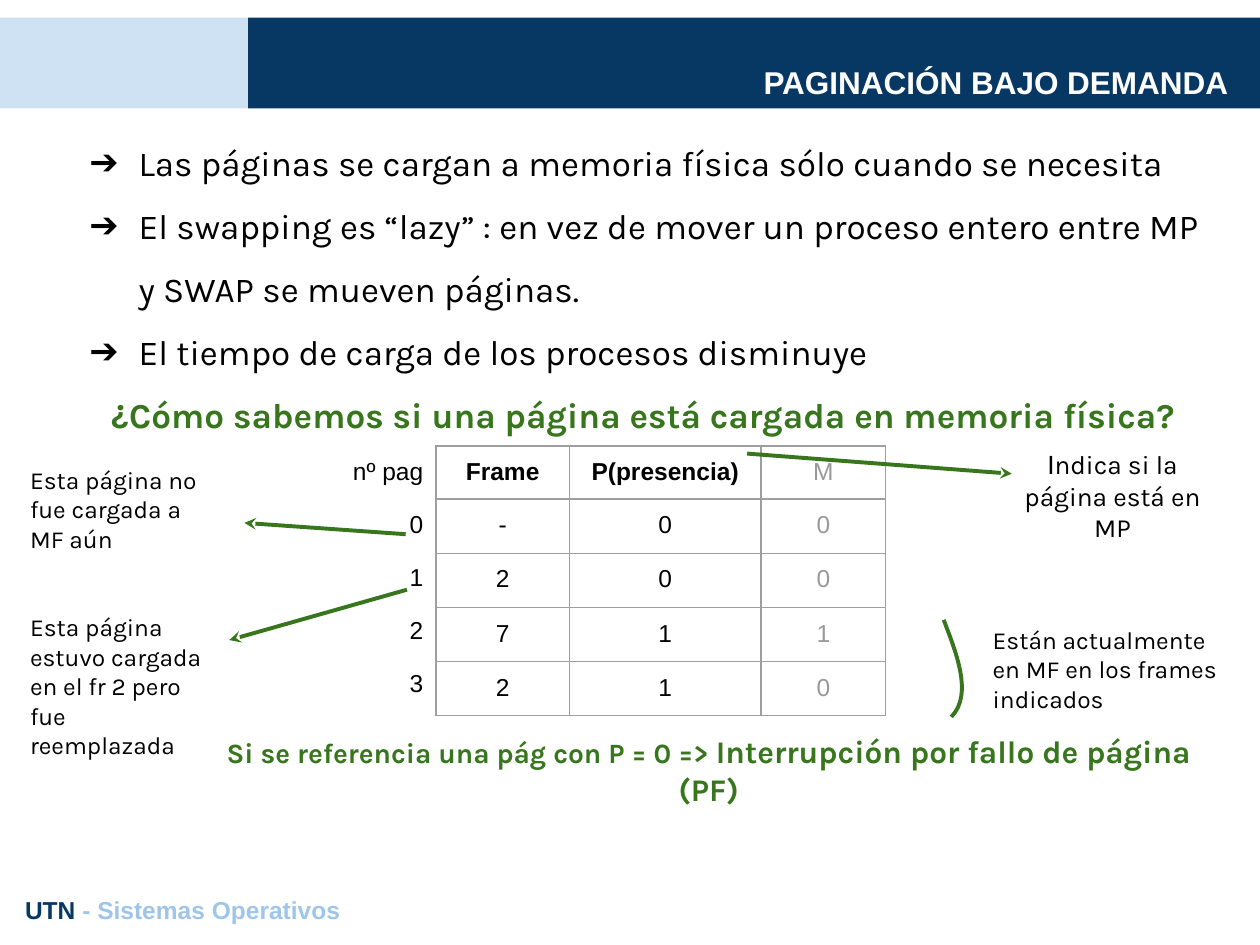
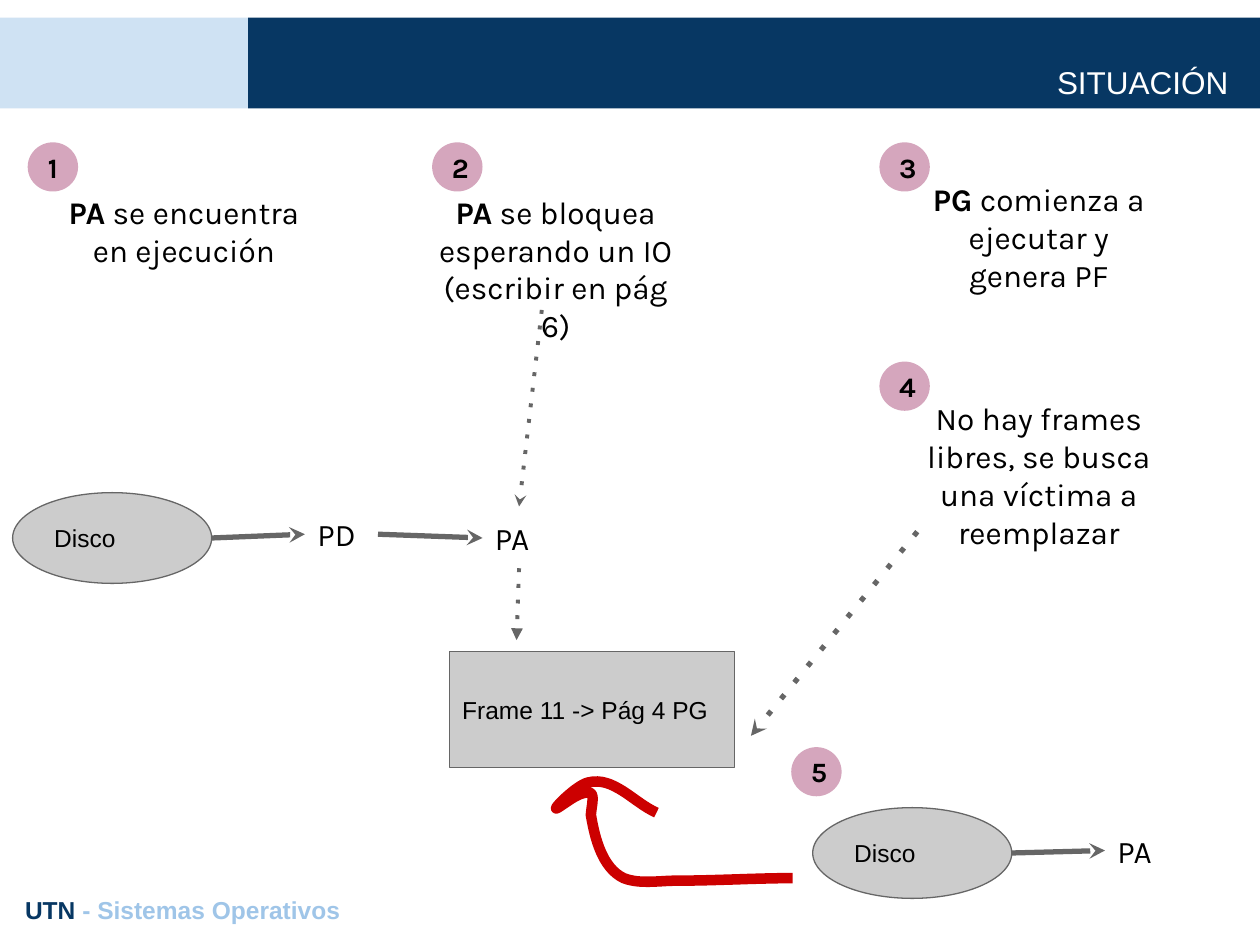
from lxml import etree
from pptx import Presentation
from pptx import util as u
from pptx.dml.color import RGBColor
from pptx.enum import shapes, text
from pptx.oxml.ns import qn

# Shared look
NAVY, SKY, FOOTER_BLUE = "073763", "CFE2F3", "9FC5E8"
GREEN, RED, PINK = "38761D", "CC0000", "D5A6BD"
BLACK, WHITE, GRAY, PALE, FADED, RULE = "000000", "FFFFFF", "666666", "CCCCCC", "999999", "9E9E9E"
LEFT, CENTER, RIGHT = text.PP_ALIGN.LEFT, text.PP_ALIGN.CENTER, text.PP_ALIGN.RIGHT
TOP, MIDDLE, BOTTOM = text.MSO_ANCHOR.TOP, text.MSO_ANCHOR.MIDDLE, text.MSO_ANCHOR.BOTTOM
RECT, OVAL = shapes.MSO_SHAPE.RECTANGLE, shapes.MSO_SHAPE.OVAL
BANDS = [((0, 0.14, 1.97, 0.72), SKY), ((1.97, 0.14, 8.04, 0.72), NAVY)]
FOOTER = [("UTN", {"color": NAVY}), " - Sistemas Operativos"]

# Content of the demand paging slide
PAGING_TITLE = "PAGINACIÓN BAJO DEMANDA"
PAGING_POINTS = [
    "Las páginas se cargan a memoria física sólo cuando se necesita",
    "El swapping es “lazy” : en vez de mover un proceso entero entre MP y SWAP se mueven páginas.",
    "El tiempo de carga de los procesos disminuye",
]
PAGING_QUESTION = "¿Cómo sabemos si una página está cargada en memoria física?"
PAGE_TABLE = [
    ["Frame", "P(presencia)", "M"],
    ["-", "0", "0"],
    ["2", "0", "0"],
    ["7", "1", "1"],
    ["2", "1", "0"],
]
PAGE_NUMBERS = [["nº pag"], ["0"], ["1"], ["2"], ["3"]]
NOTES = [  # box, runs, format
    ((8.03, 3.46, 1.6, 0.85), [("I", {"font": "Arial"}), "ndica si la página está en MP"],
     {"size": 15, "align": CENTER}),
    ((7.78, 4.86, 2.09, 0.85), ["Están actualmente en MF en los frames indicados"], {}),
    ((0.14, 3.59, 1.6, 0.85), ["Esta página no fue cargada a MF aún"], {}),
    ((0.14, 4.76, 1.6, 1.55), ["Esta página estuvo cargada en el fr 2 pero fue reemplazada"], {}),
]
NOTE_ARROWS = [((5.93, 3.6), (8.03, 3.76)), ((3.22, 4.24), (1.94, 4.15)), ((3.23, 4.68), (1.82, 5.08))]
LOADED_BRACKET = [(7.49, 4.92), [(7.58, 5.16), (7.73, 5.51), (7.55, 5.69)]]
FAULT = ["Si se referencia una pág con P = 0 => ",
         ("Interrupción por fallo de página (PF)", {"size": 18})]

# Content of the situation slide
SITUATION_TITLE = "SITUACIÓN"
BOLD = {"bold": True}
STEPS = [  # number, circle corner, text box, runs
    ("1", (0.22, 1.13), (0.33, 1.43, 2.26, 0.72), [("PA", BOLD), " se encuentra en ejecución"]),
    ("2", (3.43, 1.13), (3.28, 1.43, 2.26, 0.72),
     [("PA", BOLD), " se bloquea esperando un IO (escribir en pág 6)"]),
    ("3", (6.98, 1.13), (7.26, 1.33, 1.97, 0.92), [("PG", BOLD), " comienza a ejecutar y genera PF"]),
    ("4", (6.98, 2.87), (7.26, 3.07, 1.97, 0.92),
     ["No hay frames libres, se busca una víctima a reemplazar"]),
    ("5", (6.28, 5.93), None, None),
]
NODES = [  # shape, box, label
    (OVAL, (0.1, 3.91, 1.58, 0.72), "Disco"),
    (OVAL, (6.45, 6.41, 1.58, 0.72), "Disco"),
    (RECT, (3.57, 5.17, 2.26, 0.92), "Frame 11 -> Pág 4 PG"),
]
PROCESSES = [("PD", (2.42, 3.99)), ("PA", (3.83, 4.02)), ("PA", (8.77, 6.5))]
FLOWS = [  # start, end, format
    ((1.68, 4.27), (2.42, 4.24), {}),
    ((3, 4.24), (3.83, 4.27), {}),
    ((8.03, 6.77), (8.77, 6.75), {}),
    ((7.28, 4.22), (5.96, 5.84), {"dash": "dot"}),
    ((4.3, 2.46), (4.12, 4.02), {"dash": "dot", "width": 2.25}),
    ((4.12, 4.51), (4.1, 5.08), {"dash": "dot", "width": 2.25, "head": "triangle"}),
]
REPLACEMENT_ARROW = [
    (6.29, 6.97),
    [(5.99, 6.97), (5.68, 6.99), (5.37, 6.99)],
    [(5.23, 6.99), (5.08, 7.02), (4.95, 6.97)],
    [(4.78, 6.89), (4.72, 6.65), (4.69, 6.47)],
    [(4.69, 6.41), (4.73, 6.29), (4.67, 6.29)],
    [(4.59, 6.29), (4.51, 6.36), (4.43, 6.41)],
    [(4.35, 6.46), (4.57, 6.23), (4.67, 6.21)],
    [(4.87, 6.16), (5.03, 6.37), (5.21, 6.45)],
]


def rgb(value):
    return RGBColor.from_string(value)


def inches(box):
    return [u.Inches(v) for v in box]


def add_xml(parent, tag, **attributes):
    return etree.SubElement(parent, qn(tag), attributes)


def write_runs(paragraph, runs, font="Karla", size=14, color=BLACK, bold=False, align=LEFT):
    """Add runs, each a string or a (string, overrides) pair."""
    paragraph.alignment = align
    for item in runs:
        words, changes = (item, {}) if isinstance(item, str) else item
        look = {"font": font, "size": size, "color": color, "bold": bold, **changes}
        run = paragraph.add_run()
        run.text = words
        run.font.name, run.font.size = look["font"], u.Pt(look["size"])
        run.font.bold, run.font.color.rgb = look["bold"], rgb(look["color"])


def set_frame(frame, anchor=TOP):
    frame.word_wrap, frame.auto_size = True, text.MSO_AUTO_SIZE.NONE
    frame.vertical_anchor = anchor
    frame.margin_left = frame.margin_right = frame.margin_top = frame.margin_bottom = u.Inches(0.1)


def add_text(slide, box, runs, **look):
    frame = slide.shapes.add_textbox(*inches(box)).text_frame
    set_frame(frame)
    write_runs(frame.paragraphs[0], runs, **look)


def place(holder, box):
    holder.left, holder.top, holder.width, holder.height = inches(box)


def add_block(slide, kind, box, fill, outline=None, label=None, **look):
    block = slide.shapes.add_shape(kind, *inches(box))
    block.shadow.inherit = False
    block.fill.solid()
    block.fill.fore_color.rgb = rgb(fill)
    if outline:
        block.line.color.rgb, block.line.width = rgb(outline), u.Pt(0.75)
    else:
        block.line.fill.background()
    if label:
        set_frame(block.text_frame, MIDDLE)
        write_runs(block.text_frame.paragraphs[0], [label], **look)
    return block


def add_arrow(slide, start, end, color=GRAY, width=3, dash=None, head="stealth"):
    arrow = slide.shapes.add_connector(shapes.MSO_CONNECTOR.STRAIGHT, *inches(start + end))
    arrow.line.color.rgb, arrow.line.width = rgb(color), u.Pt(width)
    properties = arrow.element.spPr
    line = properties.find(qn("a:ln"))
    if dash:
        add_xml(line, "a:prstDash", val=dash)
    add_xml(line, "a:tailEnd", type=head)
    add_xml(properties, "a:effectLst")


def add_curve(slide, curve, color, width, steps=16):
    """Draw a start point followed by cubic Bézier pieces."""
    start, *pieces = curve
    points, p0 = [], start
    for p1, p2, p3 in pieces:
        for step in range(1, steps + 1):
            t = step / steps
            weights = ((1 - t) ** 3, 3 * t * (1 - t) ** 2, 3 * t * t * (1 - t), t ** 3)
            points.append(inches(sum(w * p[axis] for w, p in zip(weights, (p0, p1, p2, p3)))
                                 for axis in (0, 1)))
        p0 = p3
    builder = slide.shapes.build_freeform(*inches(start))
    builder.add_line_segments(points, close=False)
    stroke = builder.convert_to_shape()
    stroke.shadow.inherit = False
    stroke.fill.background()
    stroke.line.color.rgb, stroke.line.width = rgb(color), u.Pt(width)


def set_borders(cell, color):
    properties = cell._tc.get_or_add_tcPr()
    for position, side in enumerate(("a:lnL", "a:lnR", "a:lnT", "a:lnB")):
        line = etree.Element(qn(side), w=str(u.Pt(0.75)))
        if color:
            add_xml(add_xml(line, "a:solidFill"), "a:srgbClr", val=color)
        else:
            add_xml(line, "a:noFill")
        properties.insert(position, line)


def add_grid(slide, corner, widths, heights, rows, look_at, border=None):
    box = (*corner, sum(widths), sum(heights))
    grid = slide.shapes.add_table(len(rows), len(widths), *inches(box)).table
    grid.first_row = grid.horz_banding = False
    for column, width in zip(grid.columns, widths):
        column.width = u.Inches(width)
    for r, (row, height) in enumerate(zip(rows, heights)):
        grid.rows[r].height = u.Inches(height)
        for c, value in enumerate(row):
            cell = grid.cell(r, c)
            cell.margin_left = cell.margin_right = cell.margin_top = cell.margin_bottom = u.Inches(0.1)
            cell.fill.background()
            set_borders(cell, border)
            write_runs(cell.text_frame.paragraphs[0], [value], font="Arial", **look_at(r, c))


def start_slide(deck, layout, title, bold):
    slide = deck.slides.add_slide(deck.slide_layouts[layout])
    heading = slide.shapes.title
    place(heading, (1.35, 0.4, 8.5, 0.5))
    set_frame(heading.text_frame, BOTTOM)
    write_runs(heading.text_frame.paragraphs[0], [title], font="Arial", size=18,
               color=WHITE, bold=bold, align=RIGHT)
    # Bands go behind the title
    for position, (box, color) in enumerate(BANDS, start=2):
        band = add_block(slide, RECT, box, color).element
        band.getparent().insert(position, band)
    add_text(slide, (0.1, 7, 9.81, 0.44), FOOTER, font="Arial", color=FOOTER_BLUE, bold=True)
    return slide


def fill_points(body):
    set_frame(body.text_frame)
    for i, point in enumerate(PAGING_POINTS + [PAGING_QUESTION]):
        paragraph = body.text_frame.paragraphs[0] if i == 0 else body.text_frame.add_paragraph()
        is_question = point == PAGING_QUESTION
        properties = paragraph._p.get_or_add_pPr()
        indent, hang = (0, 0) if is_question else (0.5, -0.39)
        properties.set("marL", str(u.Inches(indent)))
        properties.set("indent", str(u.Inches(hang)))
        if is_question:
            add_xml(properties, "a:buNone")
        else:
            add_xml(add_xml(properties, "a:buClr"), "a:srgbClr", val=BLACK)
            add_xml(properties, "a:buChar", char="➔")
        paragraph.line_spacing = 1.5
        paragraph.space_before = u.Pt(0)
        write_runs(paragraph, [point], size=20, bold=is_question,
                   color=GREEN if is_question else BLACK, align=CENTER if is_question else LEFT)


def build_paging(deck):
    slide = start_slide(deck, 1, PAGING_TITLE, bold=True)
    body = slide.placeholders[1]
    place(body, (0.5, 0.86, 9.21, 2.86))
    fill_points(body)
    # Page table and its row numbers
    add_grid(slide, (3.46, 3.54), [1.06, 1.52, 0.99], [0.42] + [0.43] * 4, PAGE_TABLE,
             lambda r, c: {"align": CENTER, "bold": r == 0 and c < 2,
                           "color": FADED if c == 2 else BLACK}, border=RULE)
    add_grid(slide, (2.56, 3.54), [0.9], [0.42] * 5, PAGE_NUMBERS, lambda r, c: {"align": RIGHT})
    # Notes around the table
    for start, end in NOTE_ARROWS:
        add_arrow(slide, start, end, color=GREEN, width=2.25)
    add_curve(slide, LOADED_BRACKET, GREEN, 2.25)
    for box, runs, look in NOTES:
        add_text(slide, box, runs, **look)
    add_text(slide, (1.55, 5.71, 8.15, 0.43), FAULT, size=16, color=GREEN, bold=True, align=CENTER)


def build_situation(deck):
    slide = start_slide(deck, 5, SITUATION_TITLE, bold=False)
    # Numbered steps
    for number, corner, box, runs in STEPS:
        if runs:
            add_text(slide, box, runs, size=18, align=CENTER)
        add_block(slide, OVAL, (*corner, 0.4, 0.39), PINK, label=number, size=16, bold=True,
                  align=CENTER if number == "1" else LEFT)
    # Disks, frame, processes and the flow between them
    for kind, box, label in NODES:
        add_block(slide, kind, box, PALE, outline=GRAY, label=label, font="Arial")
    for process, corner in PROCESSES:
        add_text(slide, (*corner, 0.58, 0.5), [process], size=18)
    for start, end, look in FLOWS:
        add_arrow(slide, start, end, **look)
    add_curve(slide, REPLACEMENT_ARROW, RED, 6)


def main():
    deck = Presentation()
    deck.slide_width, deck.slide_height = u.Inches(10), u.Inches(7.5)
    build_paging(deck)
    build_situation(deck)
    deck.save("out.pptx")


if __name__ == "__main__":
    main()
